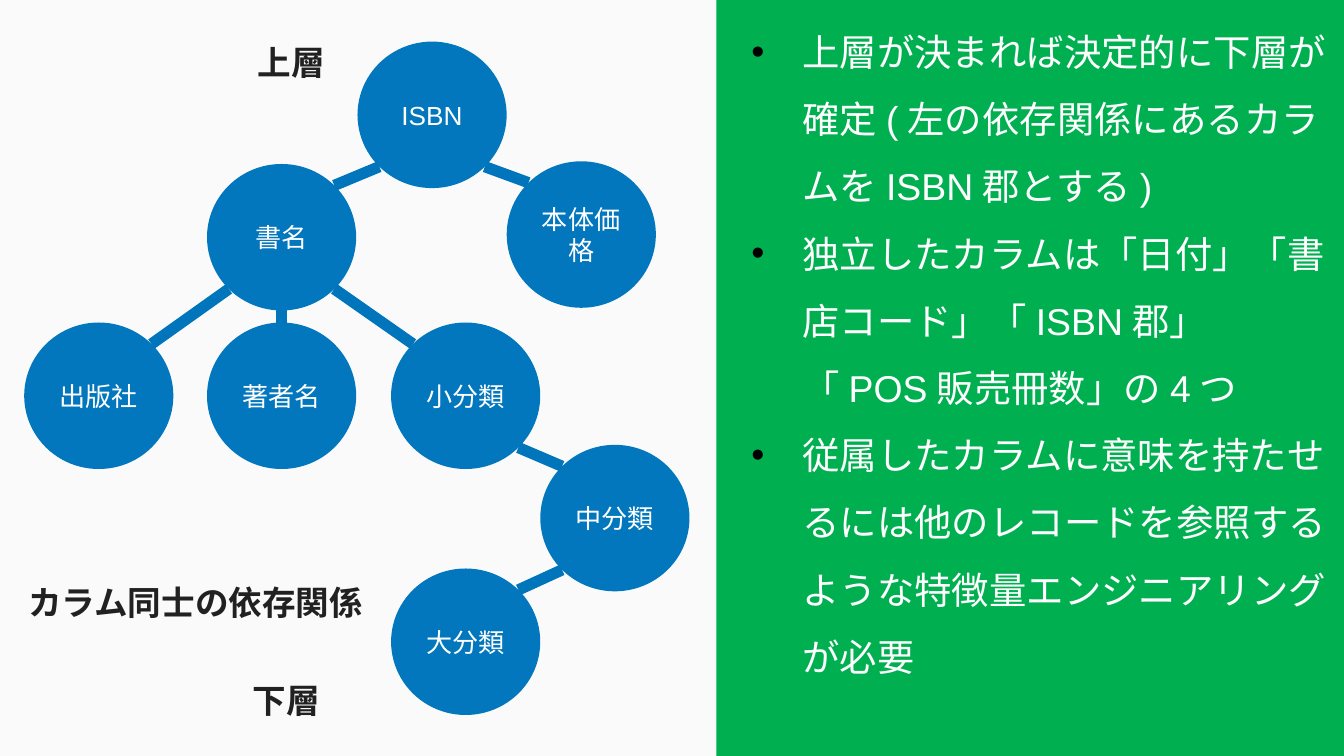
from math import sqrt
from lxml.etree import SubElement
from pptx import Presentation
from pptx.dml.color import RGBColor
from pptx.enum.shapes import MSO_CONNECTOR, MSO_SHAPE
from pptx.enum.text import MSO_ANCHOR, MSO_AUTO_SIZE, PP_ALIGN
from pptx.oxml.ns import qn
from pptx.util import Inches, Pt

# Content
HEAD = "カラム同士の依存関係"
LABELS = [("上層", 1.62, 0.21, 1.09, 0.46), ("下層", 1.67, 4.96, 0.92, 0.53)]
POINTS = [
    "上層が決まれば決定的に下層が確定(左の依存関係にあるカラムをISBN郡とする)",
    "独立したカラムは「日付」「書店コード」「ISBN郡」「POS販売冊数」の4つ",
    "従属したカラムに意味を持たせるには他のレコードを参照するような特徴量エンジニアリングが必要",
]
# Name: left and top, in inches
NODES = {
    "ISBN": (2.66, 0.31), "書名": (1.54, 1.22), "本体価格": (3.77, 1.2),
    "出版社": (0.18, 2.4), "著者名": (1.54, 2.4), "小分類": (2.91, 2.4),
    "中分類": (4.02, 3.31), "大分類": (2.91, 4.23),
}
LINKS = [
    ("ISBN", "書名"), ("ISBN", "本体価格"), ("書名", "出版社"),
    ("書名", "著者名"), ("書名", "小分類"), ("小分類", "中分類"),
    ("中分類", "大分類"),
]
NODE_W, NODE_H = 1.11, 1.09
FONT = "Arial"
COLORS = {"back": "FAFAFA", "panel": "00B050", "node": "0277BD",
          "link": "0075BB", "text": "212121", "white": "FFFFFF",
          "bullet": "000000"}


def color(name):
    return RGBColor.from_string(COLORS[name])


def box(*sides):
    return [Inches(side) for side in sides]


def place(shape, *sides):
    shape.left, shape.top, shape.width, shape.height = box(*sides)


def style(para, size, tone, bold=False, align=PP_ALIGN.CENTER):
    para.alignment = align
    font = para.font
    font.name, font.size, font.bold = FONT, Pt(size), bold
    font.color.rgb = color(tone)


def set_frame(frame, pad=0.1, anchor=MSO_ANCHOR.TOP):
    frame.word_wrap = True
    frame.auto_size = MSO_AUTO_SIZE.NONE
    frame.vertical_anchor = anchor
    frame.margin_left = frame.margin_right = Inches(pad)
    frame.margin_top = frame.margin_bottom = Inches(pad)


def add_solid(kind, tone, *sides):
    shape = slide.shapes.add_shape(kind, *box(*sides))
    shape.shadow.inherit = False
    shape.fill.solid()
    shape.fill.fore_color.rgb = color(tone)
    shape.line.fill.background()
    return shape


def add_bullet(para):
    props = para._p.get_or_add_pPr()
    props.set("marL", str(Inches(0.38)))
    props.set("indent", str(-Inches(0.38)))
    tint = SubElement(props, qn("a:buClr"))
    SubElement(tint, qn("a:srgbClr")).set("val", COLORS["bullet"])
    SubElement(props, qn("a:buFont")).set("typeface", FONT)
    SubElement(props, qn("a:buChar")).set("char", "•")


def sign(num):
    return (num > 0) - (num < 0)


def rim(name, dx, dy):
    """Point on the node's edge in one of eight directions."""
    left, top = NODES[name]
    norm = sqrt(dx * dx + dy * dy)
    return (left + NODE_W / 2 * (1 + dx / norm),
            top + NODE_H / 2 * (1 + dy / norm))


def add_link(upper, lower):
    dx, dy = (sign(b - a) for a, b in zip(NODES[upper], NODES[lower]))
    ends = rim(upper, dx, dy) + rim(lower, -dx, -dy)
    line = slide.shapes.add_connector(MSO_CONNECTOR.STRAIGHT, *box(*ends))
    line.line.color.rgb = color("link")
    line.line.width = Pt(6)
    SubElement(line._element.spPr, qn("a:effectLst"))


# Slide in 16:9
deck = Presentation()
deck.slide_width = Inches(10)
deck.slide_height = deck.slide_width * 9 // 16
slide = deck.slides.add_slide(deck.slide_layouts[1])
slide.background.fill.solid()
slide.background.fill.fore_color.rgb = color("back")

# Green panel, behind the placeholders
panel = add_solid(MSO_SHAPE.RECTANGLE, "panel", 5.33, -0.12, 5.14, 6.21)
slide.shapes._spTree.insert(2, panel._element)

# Title
title = slide.shapes.title
place(title, 0.06, 4.23, 2.79, 0.53)
set_frame(title.text_frame)
title.text_frame.text = HEAD
style(title.text_frame.paragraphs[0], 18, "text", True)

# List on the panel
body = slide.placeholders[1]
place(body, 5.49, -0.05, 4.51, 5.68)
set_frame(body.text_frame)
body.text_frame.text = "\n".join(POINTS)
for para in body.text_frame.paragraphs:
    add_bullet(para)
    para.line_spacing = 1.5
    para.space_before = Pt(0)
    style(para, 20, "white", align=PP_ALIGN.LEFT)

# Tree of columns
for name, spot in NODES.items():
    node = add_solid(MSO_SHAPE.OVAL, "node", *spot, NODE_W, NODE_H)
    set_frame(node.text_frame, 0.08, MSO_ANCHOR.MIDDLE)
    node.text_frame.text = name
    style(node.text_frame.paragraphs[0], 14, "white")
for pair in LINKS:
    add_link(*pair)

# Layer labels
for text, *sides in LABELS:
    label = slide.shapes.add_textbox(*box(*sides))
    set_frame(label.text_frame)
    label.text_frame.text = text
    style(label.text_frame.paragraphs[0], 18, "text", True)

deck.save("out.pptx")
